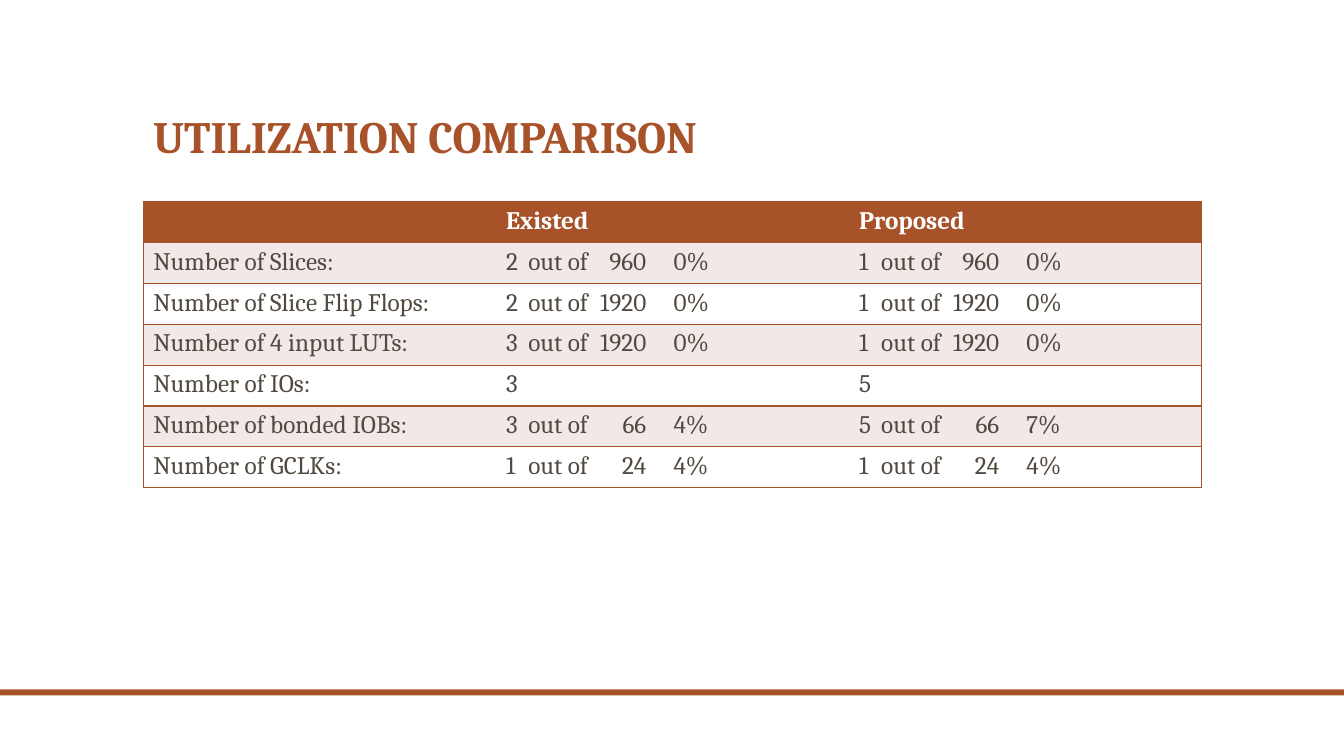
from dataclasses import dataclass

from lxml import etree
from pptx import Presentation
from pptx import util as u
from pptx.dml.color import RGBColor
from pptx.enum import shapes, text
from pptx.oxml import ns


@dataclass(frozen=True)
class Theme:
    accent: str = "A85229"
    ink: str = "514A40"
    white: str = "FFFFFF"
    band: str = "F1E9E8"
    font: str = "Cambria"
    title_size: int = 32
    table_size: int = 18
    border: float = 1


@dataclass(frozen=True)
class Grid:
    """Table grid in inches."""
    left: float = 1.42
    top: float = 2
    column: float = 3.5
    row: float = 2.84 / 7


@dataclass(frozen=True)
class Usage:
    label: str
    existed: str
    proposed: str


THEME, GRID = Theme(), Grid()
PAGE_WIDTH, PAGE_HEIGHT = 13.33, 7.5

# Tabs align the "out of" words, the totals and the percentages
TAB_STOPS = ((0.22, "l"), (1.39, "r"), (1.66, "l"))
USAGES = (
    Usage("", "Existed", "Proposed"),
    Usage("Number of Slices:", "2\tout of\t960\t0%", "1\tout of\t960\t0%"),
    Usage("Number of Slice Flip Flops:", "2\tout of\t1920\t0%", "1\tout of\t1920\t0%"),
    Usage("Number of 4 input LUTs:", "3\tout of\t1920\t0%", "1\tout of\t1920\t0%"),
    Usage("Number of IOs:", "3", "5"),
    Usage("Number of bonded IOBs:", "3\tout of\t66\t4%", "5\tout of\t66\t7%"),
    Usage("Number of GCLKs:", "1\tout of\t24\t4%", "1\tout of\t24\t4%"),
)


def write(frame, words: str, *, size: float, color: str, bold: bool = False,
          spacing: float | None = None) -> None:
    para = frame.paragraphs[0]
    para.line_spacing = spacing
    if "\t" in words:
        stops = etree.SubElement(para._p.get_or_add_pPr(), ns.qn("a:tabLst"))
        for position, align in TAB_STOPS:
            etree.SubElement(stops, ns.qn("a:tab"), pos=str(u.Inches(position)), algn=align)
    span = para.add_run()
    span.text = words
    span.font.name = THEME.font
    span.font.size = u.Pt(size)
    span.font.bold = bold
    span.font.color.rgb = RGBColor.from_string(color)


def set_border(cell, side: str, visible: bool) -> None:
    line = etree.Element(ns.qn(f"a:ln{side}"), w=str(u.Pt(THEME.border)))
    if visible:
        fill = etree.SubElement(line, ns.qn("a:solidFill"))
        etree.SubElement(fill, ns.qn("a:srgbClr"), val=THEME.accent)
    else:
        etree.SubElement(line, ns.qn("a:noFill"))
    cell._tc.get_or_add_tcPr().append(line)


def add_rule(page) -> None:
    box = page.shapes.add_shape(
        shapes.MSO_SHAPE.RECTANGLE, 0, u.Inches(0.912 * PAGE_HEIGHT),
        u.Inches(PAGE_WIDTH), u.Inches(0.008 * PAGE_HEIGHT))
    box.shadow.inherit = False
    box.fill.solid()
    box.fill.fore_color.rgb = RGBColor.from_string(THEME.accent)
    box.line.fill.background()


def add_title(page, words: str) -> None:
    box = page.shapes.add_textbox(
        u.Inches(GRID.left), u.Inches(0.42), u.Inches(3 * GRID.column), u.Inches(1.25))
    box.text_frame.word_wrap = True
    box.text_frame.vertical_anchor = text.MSO_ANCHOR.BOTTOM
    write(box.text_frame, words, size=THEME.title_size, color=THEME.accent,
          bold=True, spacing=0.9)


def add_usage_table(page, usages: tuple[Usage, ...]) -> None:
    table = page.shapes.add_table(
        len(usages), 3, u.Inches(GRID.left), u.Inches(GRID.top),
        u.Inches(3 * GRID.column), u.Inches(len(usages) * GRID.row)).table
    table.horz_banding = False
    for r, usage in enumerate(usages):
        table.rows[r].height = u.Inches(GRID.row)
        header = r == 0
        fill = THEME.accent if header else THEME.band if r % 2 else THEME.white
        for c, words in enumerate((usage.label, usage.existed, usage.proposed)):
            cell = table.cell(r, c)
            # Borders come before the fill in the cell properties
            for side, visible in (("L", c == 0), ("R", c == 2), ("T", True), ("B", True)):
                set_border(cell, side, visible)
            cell.fill.solid()
            cell.fill.fore_color.rgb = RGBColor.from_string(fill)
            if words:
                write(cell.text_frame, words, size=THEME.table_size, bold=header,
                      color=THEME.white if header else THEME.ink)


def main() -> None:
    deck = Presentation()
    deck.slide_width, deck.slide_height = u.Inches(PAGE_WIDTH), u.Inches(PAGE_HEIGHT)
    page = deck.slides.add_slide(deck.slide_layouts[6])
    add_rule(page)
    add_title(page, "UTILIZATION COMPARISON")
    add_usage_table(page, USAGES)
    deck.save("out.pptx")


if __name__ == "__main__":
    main()
